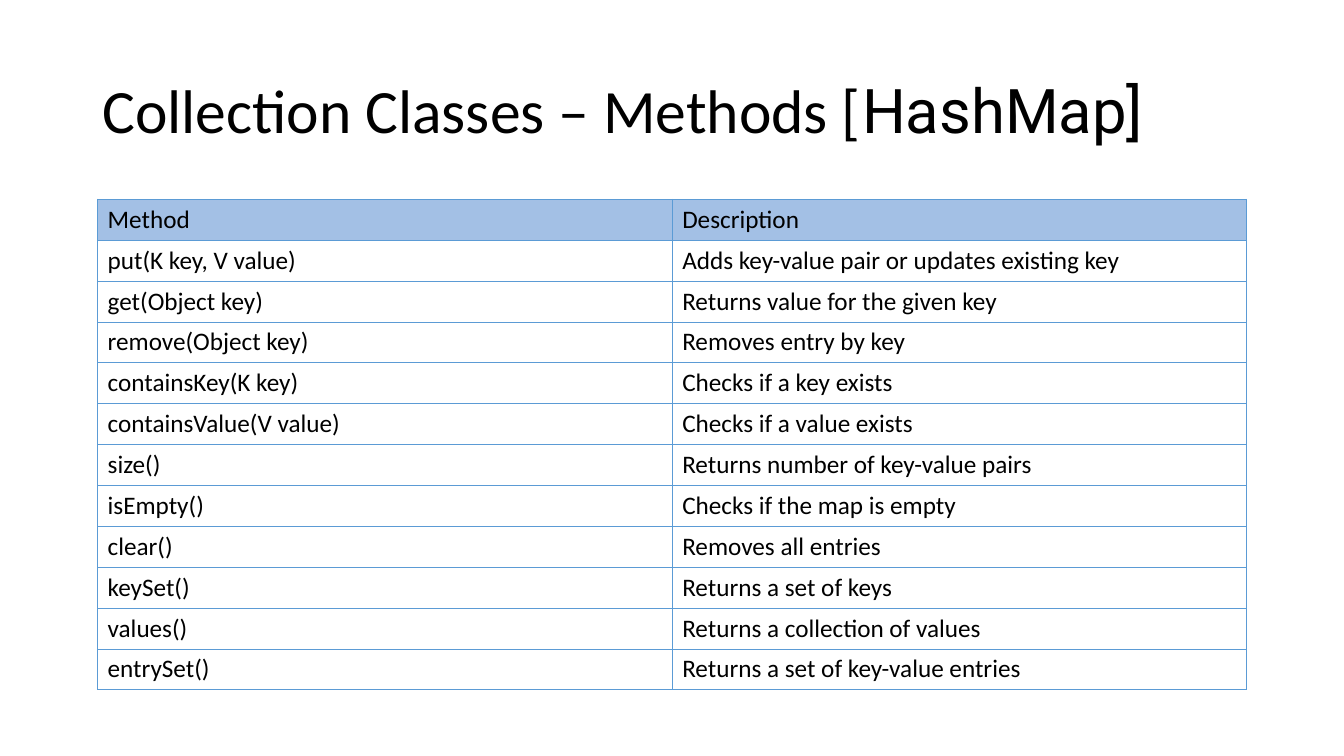
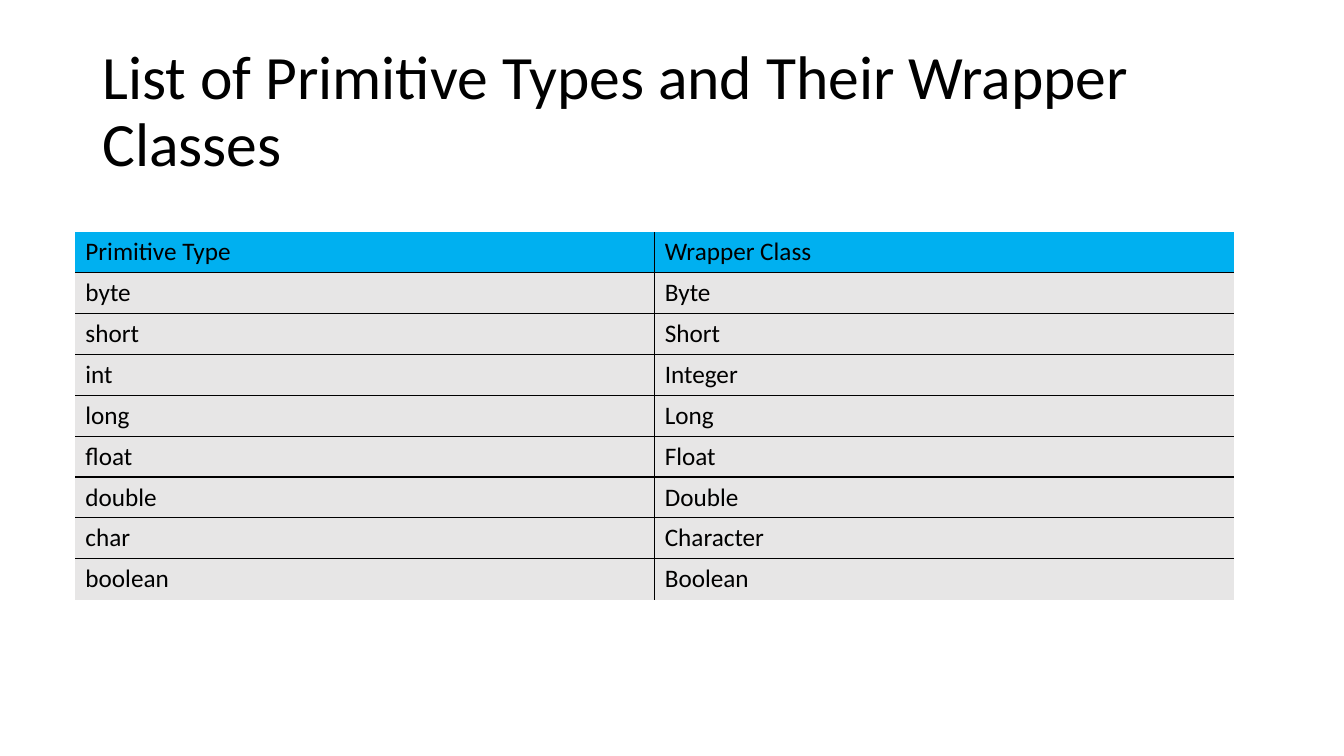
from lxml import etree
from pptx import Presentation
from pptx.dml.color import RGBColor
from pptx.enum.text import MSO_ANCHOR
from pptx.oxml.ns import qn
from pptx.util import Cm, Pt

MIDDLE = MSO_ANCHOR.MIDDLE
BLACK = "000000"
TITLE = {"size": Pt(44), "name": "Calibri", "bold": False}
BODY = {"size": Pt(18), "name": "Calibri", "bold": False}
ROW_HEIGHT = Cm(1.03)


def rgb(value):
    return RGBColor.from_string(value)


def add_run(p, text, fmt):
    r = p.add_run()
    r.text = text
    for key, value in fmt.items():
        setattr(r.font, key, value)
    r.font.color.rgb = rgb(BLACK)


SLIDES = [
    {
        "title": [("Collection Classes – Methods [", "Calibri"), ("HashMap]", "Roboto")],
        "title_width": 29.21,
        "left": 2.46, "top": 5.02, "col_width": 14.48,
        "header": "A3C0E5", "body": "FFFFFF",
        "border": "5B9BD5", "border_width": 0.5, "outer": True,
        "rows": [
            ("Method", "Description"),
            ("put(K key, V value)", "Adds key-value pair or updates existing key"),
            ("get(Object key)", "Returns value for the given key"),
            ("remove(Object key)", "Removes entry by key"),
            ("containsKey(K key)", "Checks if a key exists"),
            ("containsValue(V value)", "Checks if a value exists"),
            ("size()", "Returns number of key-value pairs"),
            ("isEmpty()", "Checks if the map is empty"),
            ("clear()", "Removes all entries"),
            ("keySet()", "Returns a set of keys"),
            ("values()", "Returns a collection of values"),
            ("entrySet()", "Returns a set of key-value entries"),
        ],
    },
    {
        "title": [("List of Primitive Types and Their Wrapper Classes", "Calibri")],
        "title_width": 29.72,
        "left": 1.9, "top": 5.84, "col_width": 14.6,
        "header": "00B0F0", "body": "E7E6E6",
        "border": BLACK, "border_width": 1, "outer": False,
        "rows": [
            ("Primitive Type", "Wrapper Class"),
            ("byte", "Byte"),
            ("short", "Short"),
            ("int", "Integer"),
            ("long", "Long"),
            ("float", "Float"),
            ("double", "Double"),
            ("char", "Character"),
            ("boolean", "Boolean"),
        ],
    },
]

prs = Presentation()
prs.slide_width, prs.slide_height = Cm(33.87), Cm(19.05)

for data in SLIDES:
    s = prs.slides.add_slide(prs.slide_layouts[6])
    tf = s.shapes.add_textbox(Cm(2.33), Cm(1.01), Cm(data["title_width"]), Cm(3.68)).text_frame
    tf.word_wrap = True
    tf.vertical_anchor = MIDDLE
    p = tf.paragraphs[0]
    p.line_spacing = 0.9
    for text, font in data["title"]:
        add_run(p, text, {**TITLE, "name": font})

    rows = data["rows"]
    n_rows, n_cols = len(rows), len(rows[0])
    col_width = Cm(data["col_width"])
    table = s.shapes.add_table(n_rows, n_cols, Cm(data["left"]), Cm(data["top"]),
                               col_width * n_cols, ROW_HEIGHT * n_rows).table
    table.horz_banding = False
    for col in table.columns:
        col.width = col_width
    for i, texts in enumerate(rows):
        table.rows[i].height = ROW_HEIGHT
        for j, text in enumerate(texts):
            cell = table.cell(i, j)
            cell.vertical_anchor = MIDDLE
            add_run(cell.text_frame.paragraphs[0], text, BODY)
            inner = {"a:lnL": j > 0, "a:lnR": j < n_cols - 1,
                     "a:lnT": i > 0, "a:lnB": i < n_rows - 1}
            tc_pr = cell._tc.get_or_add_tcPr()
            for tag, is_inner in inner.items():
                ln = etree.SubElement(tc_pr, qn(tag), w=str(Pt(data["border_width"])))
                if is_inner or data["outer"]:
                    fill = etree.SubElement(ln, qn("a:solidFill"))
                    etree.SubElement(fill, qn("a:srgbClr"), val=data["border"])
                else:
                    etree.SubElement(ln, qn("a:noFill"))
            cell.fill.solid()
            cell.fill.fore_color.rgb = rgb(data["body"] if i else data["header"])

prs.save("out.pptx")
